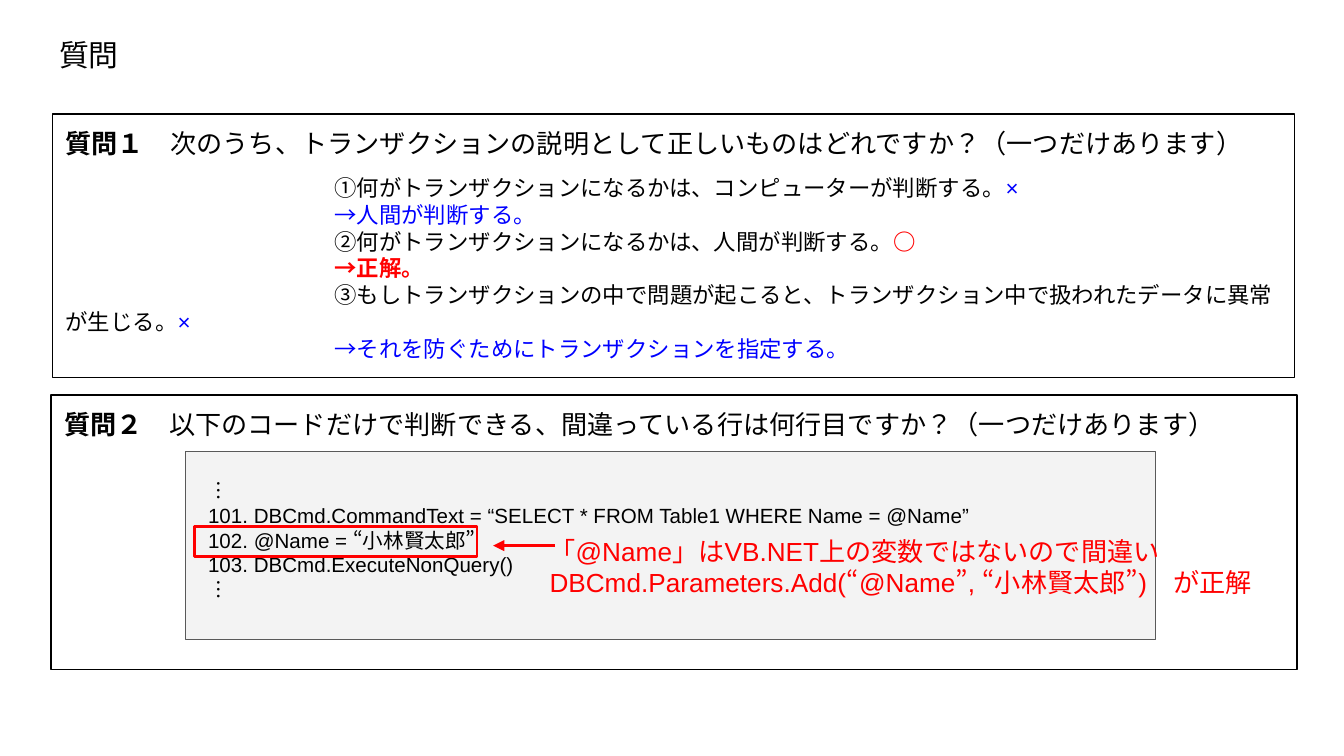
from lxml.etree import SubElement
from pptx import Presentation
from pptx.dml.color import RGBColor
from pptx.enum.lang import MSO_LANGUAGE_ID
from pptx.enum.shapes import MSO_CONNECTOR, MSO_SHAPE
from pptx.enum.text import MSO_ANCHOR, PP_ALIGN
from pptx.oxml.ns import qn
from pptx.util import Inches, Pt

WIDE = Inches(10)
HIGH = WIDE * 9 // 16
BLACK = RGBColor(0, 0, 0)
RED = RGBColor(255, 0, 0)
BLUE = RGBColor(0, 0, 255)
PALE = RGBColor(0xF3, 0xF3, 0xF3)
GREY = RGBColor(0x59, 0x59, 0x59)
FONT = "Arial"
INDENT = Inches(2)

# Each answer line is a list of (text, colour, bold) runs.
ANSWERS = [
    [("①何がトランザクションになるかは、コンピューターが判断する。", BLACK, False),
     ("×", BLUE, False)],
    [("→人間が判断する。", BLUE, False)],
    [("②何がトランザクションになるかは、人間が判断する。", BLACK, False),
     ("○", RED, True)],
    [("→正解。", RED, True)],
    [("③もしトランザクションの中で問題が起こると、"
      "トランザクション中で扱われたデータに異常が生じる。", BLACK, False),
     ("×", BLUE, False)],
    [("→それを防ぐためにトランザクションを指定する。", BLUE, False)],
]
CODE = [
    "︙",
    "101. DBCmd.CommandText = “SELECT * FROM Table1 WHERE Name = @Name”",
    "102. @Name = “小林賢太郎”",
    "103. DBCmd.ExecuteNonQuery()",
    "︙",
]
REMARK = [
    "「@Name」はVB.NET上の変数ではないので間違い",
    "DBCmd.Parameters.Add(“@Name”, “小林賢太郎”)\u3000が正解",
]


def place(x, y, w, h):
    """Turn percentages of the slide's size into lengths."""
    return [int(part * full / 100)
            for part, full in zip((x, y, w, h), (WIDE, HIGH) * 2)]


def style(run, size, color=BLACK, bold=False):
    font = run.font
    font.size, font.bold, font.name = Pt(size), bold, FONT
    font.color.rgb = color
    font.language_id = MSO_LANGUAGE_ID.JAPANESE


def frame(shape):
    """Set the margins, wrapping and anchor shared by all text."""
    text = shape.text_frame
    text.margin_left = text.margin_right = Inches(0.1)
    text.margin_top = text.margin_bottom = Inches(0.1)
    text.word_wrap = True
    text.vertical_anchor = MSO_ANCHOR.TOP
    return text


def add_rect(slide, area, line=BLACK, width=0.75, fill=None):
    rect = slide.shapes.add_shape(MSO_SHAPE.RECTANGLE, *place(*area))
    rect.shadow.inherit = False
    if fill is None:
        rect.fill.background()
    else:
        rect.fill.solid()
        rect.fill.fore_color.rgb = fill
    rect.line.color.rgb = line
    rect.line.width = Pt(width)
    return rect


def add_text(slide, area, lines, size, color=BLACK):
    text = frame(slide.shapes.add_textbox(*place(*area)))
    text.text = "\n".join(lines)
    for para in text.paragraphs:
        style(para.runs[0], size, color)


def add_runs(para, parts, size):
    para.alignment = PP_ALIGN.LEFT
    for words, color, bold in parts:
        run = para.add_run()
        run.text = words
        style(run, size, color, bold)


def add_panel(slide, area, label, ask, answers=()):
    """Draw a framed question with its indented answer lines."""
    text = frame(add_rect(slide, area))
    head = [(label, BLACK, True), ("\u3000" + ask, BLACK, False)]
    add_runs(text.paragraphs[0], head, 14)
    for i, parts in enumerate(answers):
        para = text.add_paragraph()
        add_runs(para, parts, 12)
        props = para._p.get_or_add_pPr()
        props.set("marL", "0")
        props.set("indent", str(INDENT))
        if i == 0:
            para.space_before = Pt(8)


def add_arrow(slide, start, end, color):
    ends = place(*start, *end)
    arrow = slide.shapes.add_connector(MSO_CONNECTOR.STRAIGHT, *ends)
    arrow.line.color.rgb = color
    arrow.line.width = Pt(1.5)
    SubElement(arrow.line._get_or_add_ln(), qn("a:tailEnd"), type="triangle")
    SubElement(arrow._element.spPr, qn("a:effectLst"))


def main():
    deck = Presentation()
    deck.slide_width, deck.slide_height = WIDE, HIGH
    slide = deck.slides.add_slide(deck.slide_layouts[6])

    add_panel(slide, (3.8, 52.27, 92.7, 36.27), "質問２",
              "以下のコードだけで判断できる、間違っている行は何行目ですか？"
              "（一つだけあります）")
    add_rect(slide, (13.8, 59.73, 72.2, 24.89), GREY, fill=PALE)
    add_text(slide, (3.41, 3.02, 93.2, 6.76), ["質問"], 16)
    add_panel(slide, (3.9, 15.11, 92.4, 34.84), "質問１",
              "次のうち、トランザクションの説明として正しいものはどれですか？"
              "（一つだけあります）", ANSWERS)
    add_text(slide, (14.5, 61.51, 71, 20.8), CODE, 11)
    add_arrow(slide, (41.3, 72.18), (36.7, 72.18), RED)
    add_text(slide, (39.9, 68.98, 55.1, 12.44), REMARK, 14, RED)
    add_rect(slide, (14.5, 69.69, 21, 3.91), RED, 1.5)
    deck.save("out.pptx")


if __name__ == "__main__":
    main()
